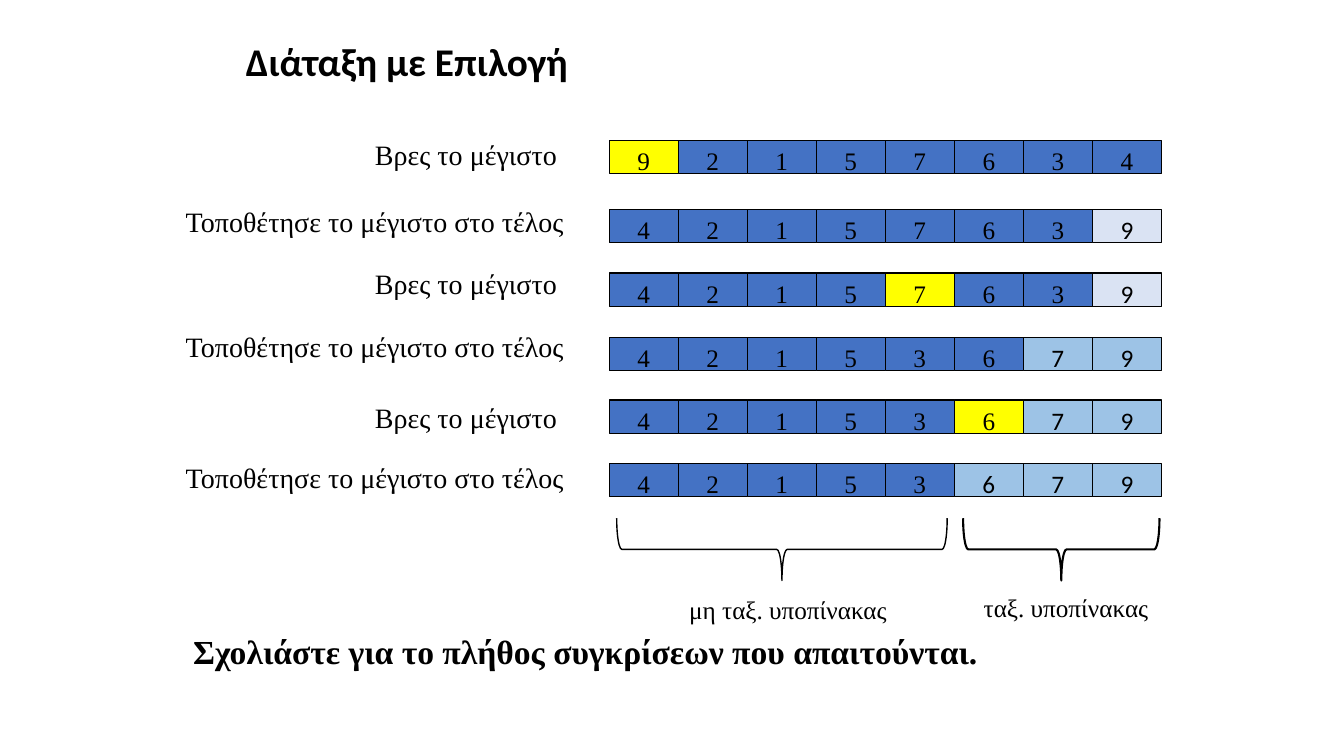
import dataclasses
import typing

import pptx
import pptx.dml.color
import pptx.enum.shapes
import pptx.enum.text
import pptx.util

Cm = pptx.util.Cm
Pt = pptx.util.Pt
RGB = pptx.dml.color.RGBColor
Kind = pptx.enum.shapes.MSO_SHAPE
Align = pptx.enum.text.PP_ALIGN
Anchor = pptx.enum.text.MSO_ANCHOR
Fit = pptx.enum.text.MSO_AUTO_SIZE


@dataclasses.dataclass(frozen=True)
class Theme:
    ink: RGB = RGB.from_string("000000")
    open: RGB = RGB.from_string("4472C4")
    best: RGB = RGB.from_string("FFFF00")
    pale: RGB = RGB.from_string("DAE3F3")
    done: RGB = RGB.from_string("9DC3E6")
    serif: str = "Times New Roman"
    sans: str = "Calibri"
    title: int = 28
    close: int = 24
    label: int = 20
    cell: int = 18


@dataclasses.dataclass(frozen=True)
class Step:
    digits: str
    top: float
    note: float  # top of the label
    ready: int = 0  # sorted cells at the end
    best: typing.Optional[int] = None  # index of the maximum
    tone: RGB = Theme.done


@dataclasses.dataclass(frozen=True)
class Brace:
    left: float
    width: float
    line: float


@dataclasses.dataclass(frozen=True)
class Note:
    text: str
    left: float
    top: float
    width: float
    height: float
    size: int
    bold: bool = False


THEME = Theme()

# Row geometry in centimetres
LEFT, PITCH, HIGH = 15.35, 1.74, 0.84
BRACE_TOP, BRACE_HIGH = 13.06, 1.57

STEPS = [
    Step("92157634", 3.53, 3.33, best=0),
    Step("42157639", 5.28, 5.03, ready=1, tone=THEME.pale),
    Step("42157639", 6.88, 6.6, ready=1, best=4, tone=THEME.pale),
    Step("42153679", 8.51, 8.18, ready=2),
    Step("42153679", 10.08, 9.96, ready=2, best=5),
    Step("42153679", 11.68, 11.48, ready=3),
]
BRACES = [Brace(15.54, 8.33, 1), Brace(24.27, 4.95, 1.5)]
NOTES = [
    Note("μη ταξ. υποπίνακας", 17.12, 14.86, 5.54, 1.02, THEME.cell),
    Note("ταξ. υποπίνακας", 24.54, 14.81, 4.7, 1.02, THEME.cell),
    Note("Σχολιάστε για το πλήθος συγκρίσεων που απαιτούνται.",
         4.62, 15.77, 20.5, 1.3, THEME.close, True),
]


def write(frame, text: str, *, size: int, face: str = THEME.serif,
          bold: bool = False, align=Align.LEFT, anchor=Anchor.TOP,
          wrap: bool = False, fit=Fit.NONE,
          space: typing.Optional[float] = None) -> None:
    frame.word_wrap = wrap
    frame.auto_size = fit
    frame.vertical_anchor = anchor
    para = frame.paragraphs[0]
    para.alignment = align
    if space:
        para.line_spacing = space
    run = para.add_run()
    run.text = text
    run.font.name = face
    run.font.size = Pt(size)
    run.font.bold = bold
    run.font.color.rgb = THEME.ink


def draw_note(slide, note: Note) -> None:
    box = slide.shapes.add_textbox(
        Cm(note.left), Cm(note.top), Cm(note.width), Cm(note.height))
    write(box.text_frame, note.text, size=note.size, bold=note.bold,
          fit=Fit.SHAPE_TO_FIT_TEXT)


def draw_cell(slide, digit: str, left: float, top: float,
              fill: RGB, face: str) -> None:
    cell = slide.shapes.add_shape(
        Kind.RECTANGLE, Cm(left), Cm(top), Cm(PITCH), Cm(HIGH))
    cell.shadow.inherit = False
    cell.fill.solid()
    cell.fill.fore_color.rgb = fill
    cell.line.color.rgb = THEME.ink
    cell.line.width = Pt(0.75)
    write(cell.text_frame, digit, size=THEME.cell, face=face,
          align=Align.CENTER, wrap=True)


def draw_step(slide, step: Step, find: bool) -> None:
    if find:
        note = Note("Βρες το μέγιστο", 9.2, step.note, 5.13, 1.11, THEME.label)
    else:
        note = Note("Τοποθέτησε το μέγιστο στο τέλος",
                    4.43, step.note, 10.11, 1.11, THEME.label)
    draw_note(slide, note)
    for i, digit in enumerate(step.digits):
        fill, face = THEME.open, THEME.serif
        if i == step.best:
            fill = THEME.best
        elif i >= len(step.digits) - step.ready:
            fill, face = step.tone, THEME.sans
        draw_cell(slide, digit, LEFT + i * PITCH, step.top, fill, face)


def draw_brace(slide, brace: Brace) -> None:
    # A right brace turned a quarter about its centre
    shift = (brace.width - BRACE_HIGH) / 2
    shape = slide.shapes.add_shape(
        Kind.RIGHT_BRACE, Cm(brace.left + shift), Cm(BRACE_TOP - shift),
        Cm(BRACE_HIGH), Cm(brace.width))
    shape.rotation = 90
    shape.adjustments[0] = 0.083
    shape.shadow.inherit = False
    shape.fill.background()
    shape.line.color.rgb = THEME.ink
    shape.line.width = Pt(brace.line)


def main() -> None:
    deck = pptx.Presentation()
    deck.slide_width, deck.slide_height = Cm(33.87), Cm(19.05)
    slide = deck.slides.add_slide(deck.slide_layouts.get_by_name("Title Only"))

    # Title
    title = slide.shapes.title
    title.left, title.top = Cm(5.94), Cm(0.91)
    title.width, title.height = Cm(21.59), Cm(1.42)
    write(title.text_frame, "Διάταξη με Επιλογή", size=THEME.title,
          face=THEME.sans, bold=True, anchor=Anchor.MIDDLE, wrap=True,
          space=0.9)

    # Sorting steps, finding and placing in turn
    for i, step in enumerate(STEPS):
        draw_step(slide, step, find=i % 2 == 0)

    # Braces and remarks
    for brace in BRACES:
        draw_brace(slide, brace)
    for note in NOTES:
        draw_note(slide, note)

    deck.save("out.pptx")


if __name__ == "__main__":
    main()
